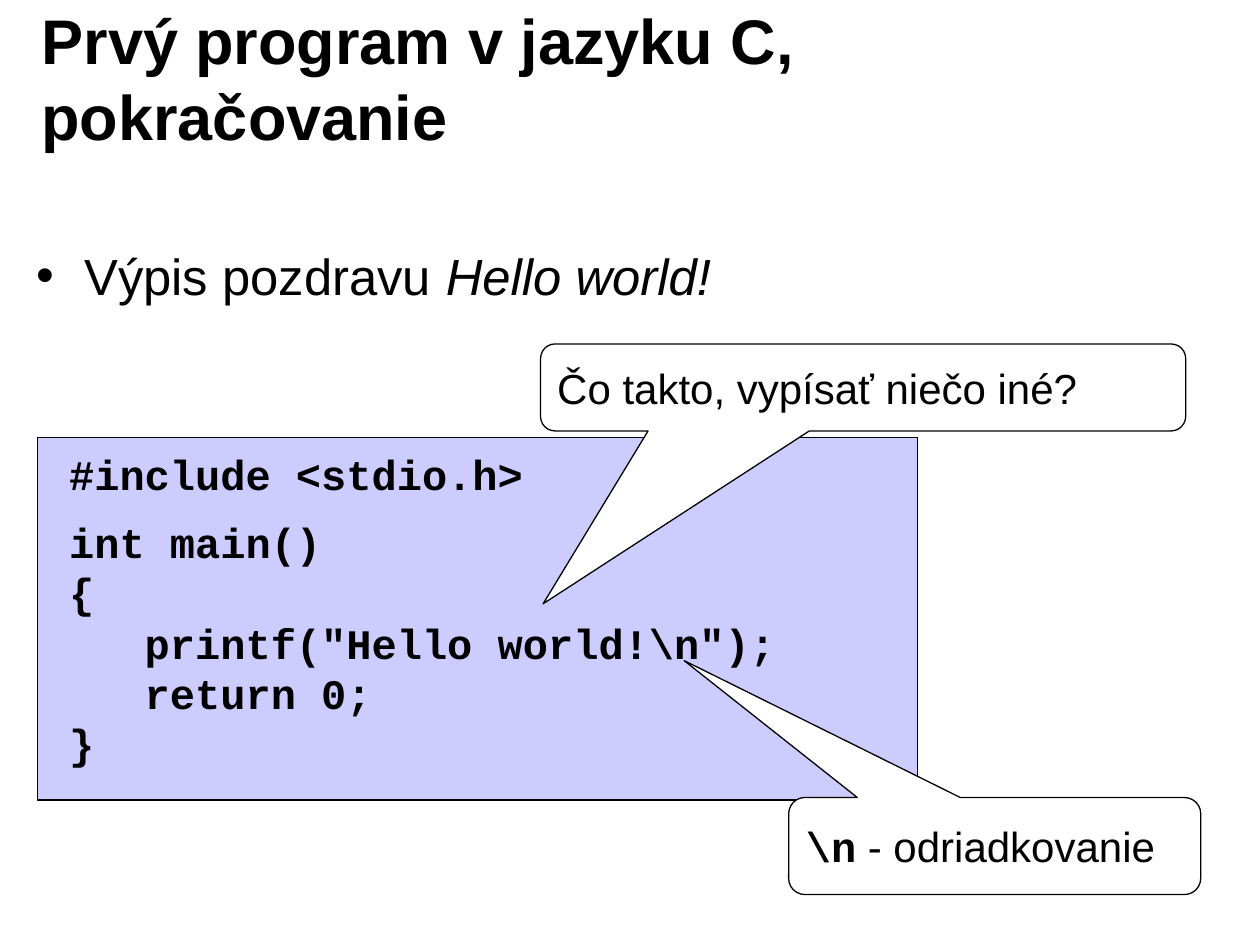
from lxml import etree
from pptx import Presentation, util as u
from pptx.dml.color import RGBColor as Rgb
from pptx.enum import shapes, text
from pptx.oxml.ns import qn

THEME = {
    "ink": Rgb(0, 0, 0), "paper": Rgb(255, 255, 255), "code": Rgb(0xCC, 0xCC, 0xFF),
    "sans": "Arial", "mono": "Courier New",
    "title": 36, "body": 29, "small": 24, "gap": 10, "line": 0.75,
}

TITLE = ("Prvý program v jazyku C, pokračovanie", "sans", True, False)
BULLET = [("Výpis pozdravu ", "sans", False, False),
          ("Hello world!", "sans", False, True)]
CODE = [
    "#include <stdio.h>",
    "int main()",
    "{",
    '   printf("Hello world!\\n");',
    "   return 0;",
    "}",
]
NOTES = [
    ((4.29, 2.73, 5.12, 0.69), (-0.496, 2.488, 0.167),
     [("Čo takto, vypísať niečo iné?", "sans", False, False)]),
    ((6.26, 6.33, 3.27, 0.77), (-0.754, -1.912, 0.167),
     [("\\n", "mono", True, False), (" - odriadkovanie", "sans", False, False)]),
]


def place(box):
    return [u.Inches(n) for n in box]


def write(para, parts, size):
    para.alignment = text.PP_ALIGN.LEFT
    for words, face, bold, slant in parts:
        run = para.add_run()
        run.text = words
        font = run.font
        font.name, font.size = THEME[face], u.Pt(THEME[size])
        font.bold, font.italic = bold, slant
        font.color.rgb = THEME["ink"]


def add_box(slide, box):
    frame = slide.shapes.add_textbox(*place(box)).text_frame
    frame.word_wrap = True
    return frame


def add_panel(slide, kind, box, fill):
    panel = slide.shapes.add_shape(kind, *place(box))
    panel.shadow.inherit = False
    panel.fill.solid()
    panel.fill.fore_color.rgb = THEME[fill]
    panel.line.color.rgb = THEME["ink"]
    panel.line.width = u.Pt(THEME["line"])
    return panel


def add_title(slide):
    title = slide.shapes.title
    title.left, title.top, title.width, title.height = place((0.23, 0.15, 8.03, 0.93))
    frame = title.text_frame
    frame.word_wrap = True
    frame.auto_size = text.MSO_AUTO_SIZE.NONE
    frame.vertical_anchor = text.MSO_ANCHOR.MIDDLE
    write(frame.paragraphs[0], [TITLE], "title")


def add_bullet(slide):
    para = add_box(slide, (0.19, 1.89, 9.61, 0.76)).paragraphs[0]
    props = para._p.get_or_add_pPr()
    props.set("marL", str(u.Inches(0.38)))
    props.set("indent", str(u.Inches(-0.38)))
    etree.SubElement(props, qn("a:buFont")).set("typeface", THEME["sans"])
    etree.SubElement(props, qn("a:buChar")).set("char", "•")
    write(para, BULLET, "body")


def add_code(slide):
    add_panel(slide, shapes.MSO_SHAPE.RECTANGLE, (0.3, 3.47, 6.98, 2.88), "code")
    frame = add_box(slide, (0.45, 3.51, 6.95, 2.64))
    frame.text = "\n".join([""] * len(CODE))
    for para, line in zip(frame.paragraphs, CODE):
        write(para, [(line, "mono", True, False)], "small")
    frame.paragraphs[1].space_before = u.Pt(THEME["gap"])


def add_note(slide, box, tail, parts):
    note = add_panel(slide, shapes.MSO_SHAPE.ROUNDED_RECTANGULAR_CALLOUT, box, "paper")
    for i, value in enumerate(tail):
        note.adjustments[i] = value
    frame = note.text_frame
    frame.word_wrap = True
    frame.vertical_anchor = text.MSO_ANCHOR.MIDDLE
    write(frame.paragraphs[0], parts, "small")


def main():
    deck = Presentation()
    deck.slide_width, deck.slide_height = u.Inches(10), u.Inches(7.5)
    slide = deck.slides.add_slide(deck.slide_layouts[5])
    add_title(slide)
    add_bullet(slide)
    add_code(slide)
    for note in NOTES:
        add_note(slide, *note)
    deck.save("out.pptx")


if __name__ == "__main__":
    main()
